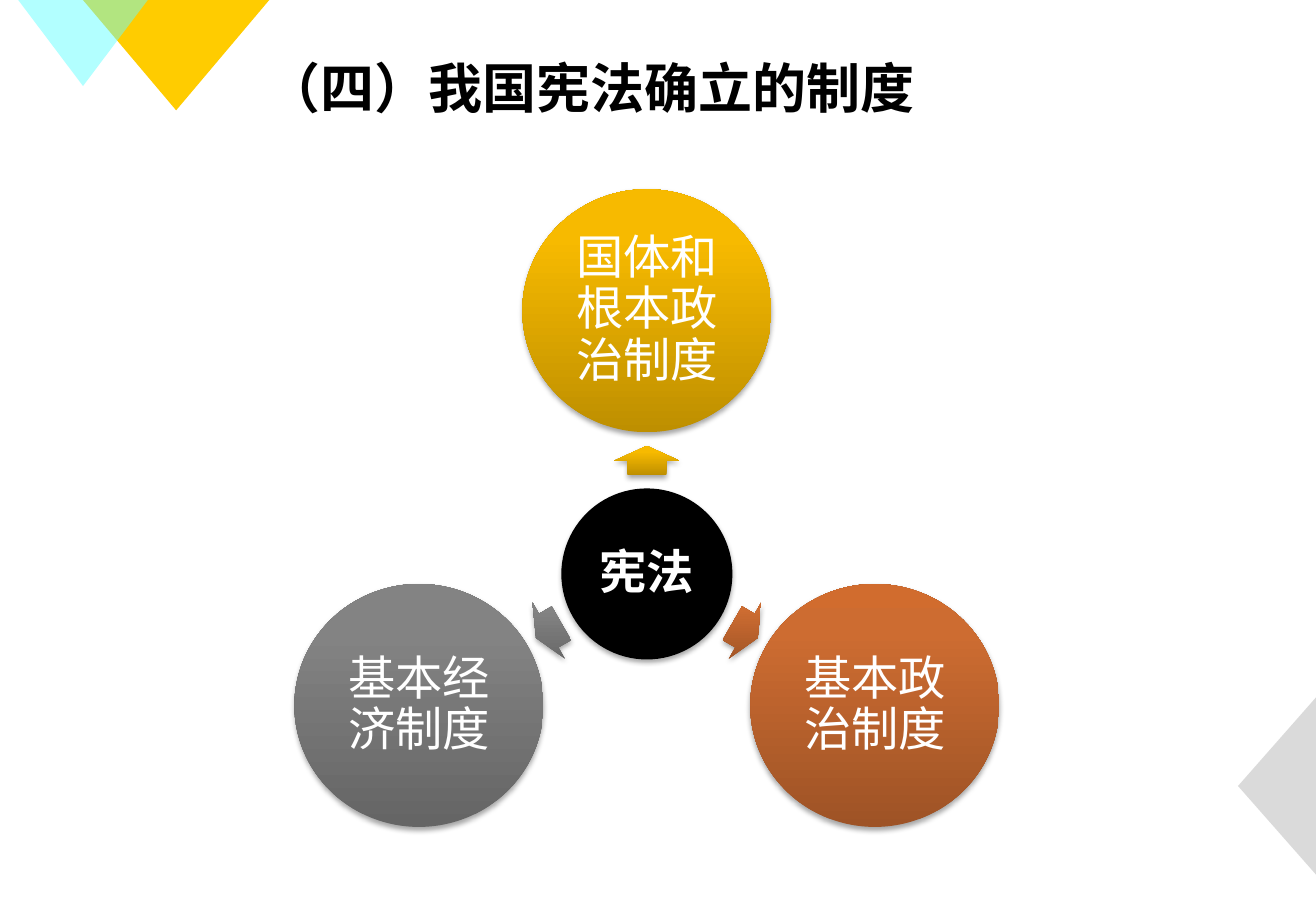
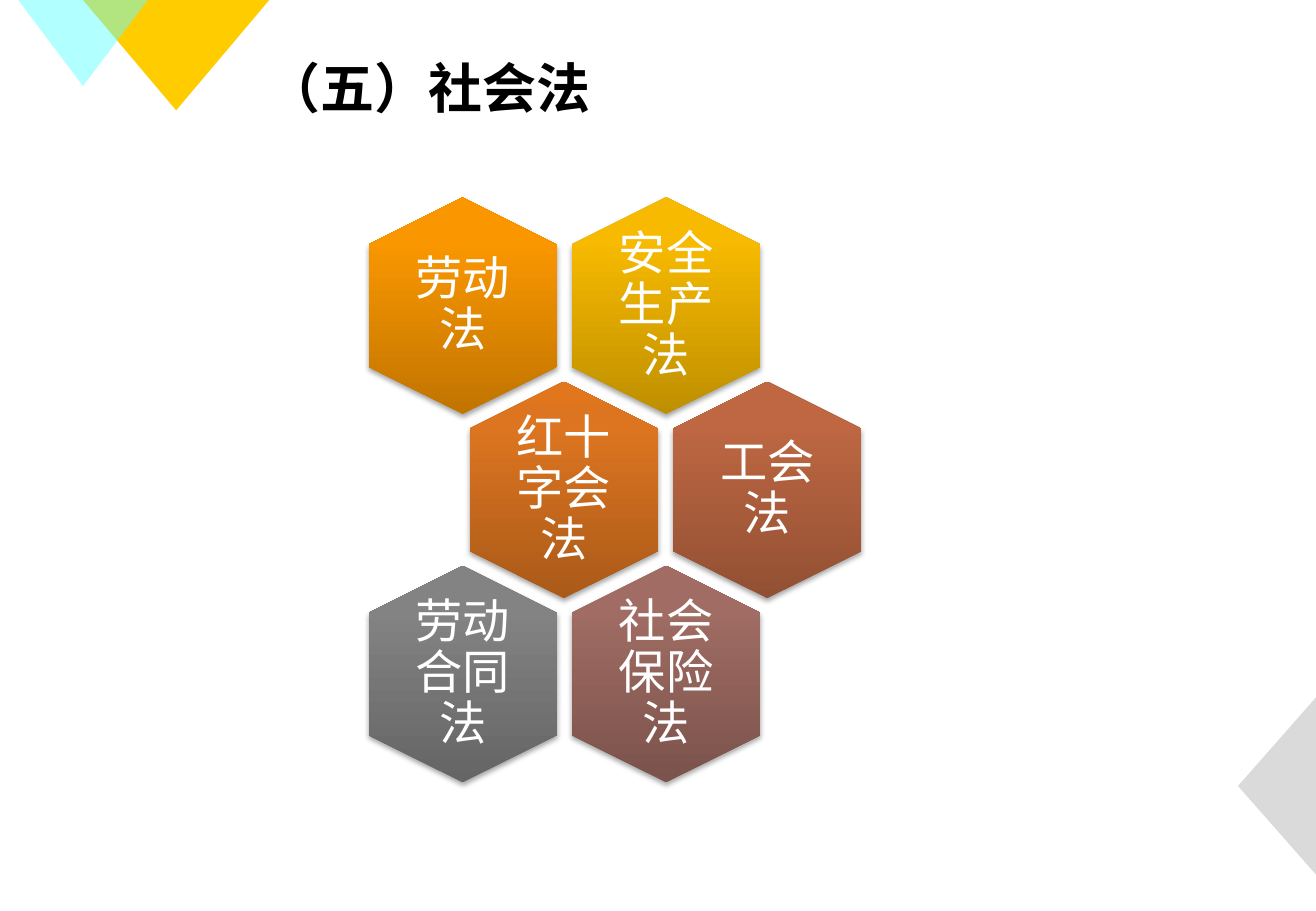
from dataclasses import dataclass
from math import cos, radians, sin

from pptx import Presentation
from pptx.dml.color import RGBColor
from pptx.enum.shapes import MSO_SHAPE
from pptx.enum.text import MSO_ANCHOR, PP_ALIGN
from pptx.oxml import parse_xml
from pptx.oxml.ns import nsdecls, qn
from pptx.oxml.xmlchemy import OxmlElement
from pptx.util import Pt

PX = 7620


@dataclass(frozen=True)
class Theme:
    """Colours, gradients and type shared by the slides."""
    font: str = "Noto Sans CJK SC"
    title_size: int = 32
    node_size: int = 28
    ink: str = "000000"
    paper: str = "FFFFFF"
    yellow: str = "FFCC00"
    cyan: str = "66FFFF"
    silver: str = "B7B7B7"
    orange: tuple = ("C17400", "FA9700", "FB9700")
    gold: tuple = ("BE8F00", "F7BA00", "F8BB00")
    amber: tuple = ("AA5A19", "DD7520", "E1761D")
    copper: tuple = ("9E5326", "CD6C31", "D16C2E")
    brick: tuple = ("925033", "BE6742", "C16740")
    mauve: tuple = ("7B534C", "A06C63", "A26C62")
    grey: tuple = ("656565", "838383", "838383")


THEME = Theme()


def px(*lengths):
    """Turn lengths in px into EMU."""
    return [round(n * PX) for n in lengths]


def around(x, y, w, h):
    """Return the box of a given size centred on a point."""
    return x - w / 2, y - h / 2, w, h


def assign(target, values):
    """Set each named attribute of the target."""
    for name, value in values.items():
        setattr(target, name, value)


def paint_solid(s, colour, alpha=None):
    """Fill a shape with one colour, optionally see-through."""
    s.fill.solid()
    s.fill.fore_color.rgb = RGBColor.from_string(colour)
    if alpha:
        node = OxmlElement("a:alpha")
        node.set("val", str(alpha * 1000))
        s._element.spPr.find(qn("a:solidFill"))[0].append(node)


def paint_gradient(s, colours):
    """Fill a shape with a vertical gradient that ignores its rotation."""
    s.fill.gradient()
    stops = "".join(
        f'<a:gs pos="{pos}"><a:srgbClr val="{colour}"/></a:gs>'
        for pos, colour in zip((0, 80000, 100000), colours))
    spPr = s._element.spPr
    spPr.replace(spPr.find(qn("a:gradFill")), parse_xml(
        f'<a:gradFill {nsdecls("a")} rotWithShape="0"><a:gsLst>{stops}</a:gsLst>'
        '<a:lin ang="16200000" scaled="0"/></a:gradFill>'))


def cast_shadow(s):
    """Give a shape a soft shadow straight below it."""
    s._element.spPr.find(qn("a:effectLst")).append(parse_xml(
        f'<a:outerShdw {nsdecls("a")} blurRad="40000" dist="23000" dir="5400000" '
        'rotWithShape="0"><a:srgbClr val="000000"><a:alpha val="35000"/>'
        '</a:srgbClr></a:outerShdw>'))


def add_figure(slide, kind, box, fill, rotation=0, alpha=None, shadow=True):
    """Add a borderless preset shape."""
    s = slide.shapes.add_shape(kind, *px(*box))
    s.rotation = rotation
    if isinstance(fill, tuple):
        paint_gradient(s, fill)
    else:
        paint_solid(s, fill, alpha)
    s.line.fill.background()
    s.shadow.inherit = False
    if shadow:
        cast_shadow(s)
    return s


def write(s, text, size, colour, inset, bold=False, align=PP_ALIGN.CENTER, spacing=0.9):
    """Write one middle-anchored paragraph in a shape."""
    tf = s.text_frame
    assign(tf, {"word_wrap": True, "vertical_anchor": MSO_ANCHOR.MIDDLE})
    sides = ("left", "right", "top", "bottom")
    assign(tf, {f"margin_{side}": inset * PX for side in sides})
    p = tf.paragraphs[0]
    assign(p, {"alignment": align, "line_spacing": spacing})
    r = p.add_run()
    r.text = text
    assign(r.font, {"name": THEME.font, "size": Pt(size), "bold": bold})
    r.font.color.rgb = RGBColor.from_string(colour)
    ea = OxmlElement("a:ea")
    ea.set("typeface", THEME.font)
    r.font._element.find(qn("a:latin")).addnext(ea)


def add_page(prs, title):
    """Add a blank slide with the corner triangles and a title."""
    slide = prs.slides.add_slide(prs.slide_layouts[6])
    for box, rotation, colour, alpha in (
            ((82, 0, 184, 109), 180, THEME.yellow, None),
            ((18, 0, 128, 85), 180, THEME.cyan, 50),
            ((1174, 738, 175, 77), 270, THEME.silver, 50)):
        add_figure(slide, MSO_SHAPE.ISOSCELES_TRIANGLE, box, colour, rotation, alpha, False)
    s = slide.shapes.add_textbox(*px(253, 43, 935, 85))
    write(s, title, THEME.title_size, THEME.ink, 10, True, PP_ALIGN.JUSTIFY, 1.0)
    return slide


def add_radial(slide, centre, hub, nodes):
    """Add a hub with arrows pointing to circles spaced evenly around it."""
    x, y = centre
    s = add_figure(slide, MSO_SHAPE.OVAL, around(x, y, 169, 169), THEME.ink)
    write(s, hub, THEME.node_size, THEME.paper, 5, True)
    for i, (text, fill) in enumerate(nodes):
        angle = i * 360 / len(nodes) - 90
        dx, dy = cos(radians(angle)), sin(radians(angle))
        arrow = add_figure(slide, MSO_SHAPE.RIGHT_ARROW,
                           around(x + 112 * dx, y + 112 * dy, 29, 64), fill, angle % 360)
        arrow.adjustments[0] = 0.6
        s = add_figure(slide, MSO_SHAPE.OVAL,
                       around(x + 260 * dx, y + 260 * dy, 246, 240), fill)
        write(s, text, THEME.node_size, THEME.paper, 5)


def add_honeycomb(slide, first, rows):
    """Add rows of upright hexagons, every second row shifted by half a cell."""
    for i, row in enumerate(rows):
        for j, (text, fill) in enumerate(row):
            x = first[0] + 201 * j + 100 * (i % 2)
            y = first[1] + 182 * i
            add_figure(slide, MSO_SHAPE.HEXAGON, around(x, y, 214, 186), fill, 90)
            s = slide.shapes.add_textbox(*px(*around(x, y, 128, 148)))
            write(s, text, THEME.node_size, THEME.paper, 0)


def main():
    """Build and save the deck."""
    prs = Presentation()
    prs.slide_width, prs.slide_height = px(1300, 900)
    add_radial(add_page(prs, "（四）我国宪法确立的制度"), (639, 567), "宪法", (
        ("国体和根本政治制度", THEME.gold),
        ("基本政治制度", THEME.copper),
        ("基本经济制度", THEME.grey)))
    add_honeycomb(add_page(prs, "（五）社会法"), (457, 302), (
        (("劳动法", THEME.orange), ("安全生产法", THEME.gold)),
        (("红十字会法", THEME.amber), ("工会法", THEME.brick)),
        (("劳动合同法", THEME.grey), ("社会保险法", THEME.mauve))))
    prs.save("out.pptx")


if __name__ == "__main__":
    main()
